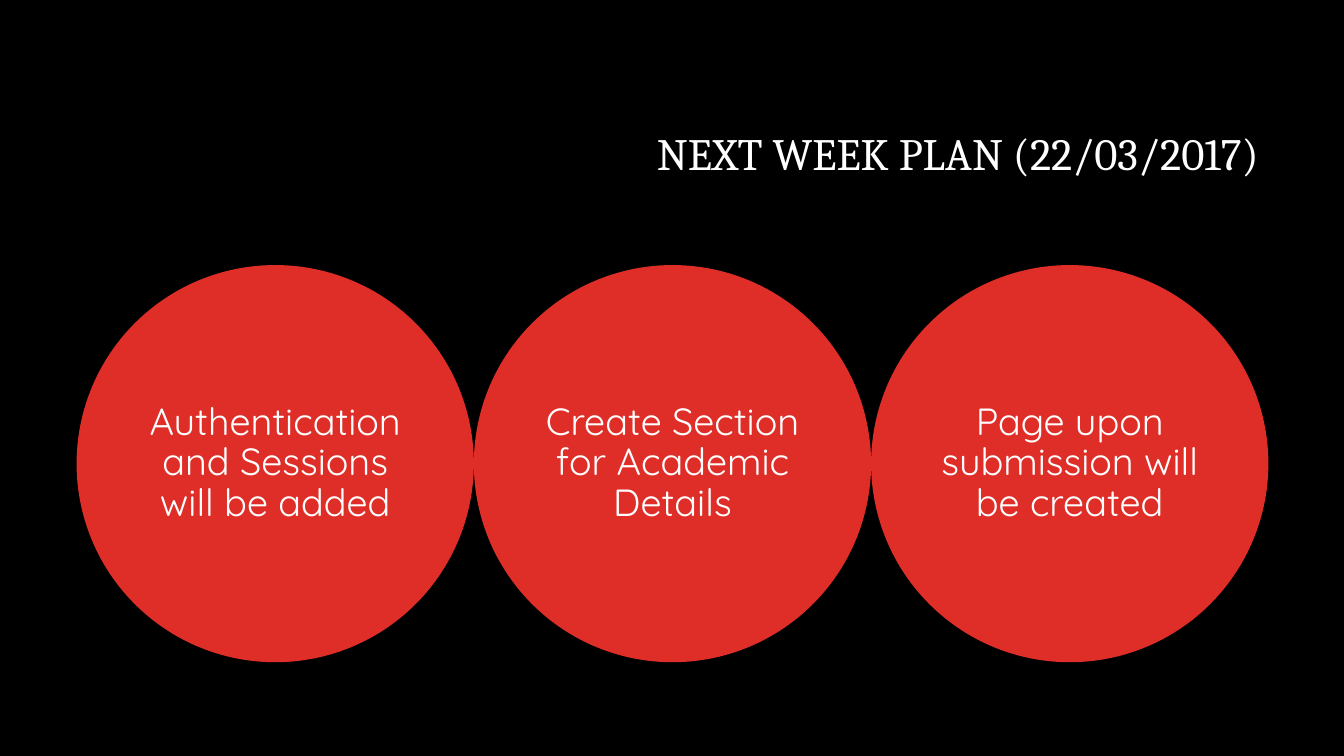
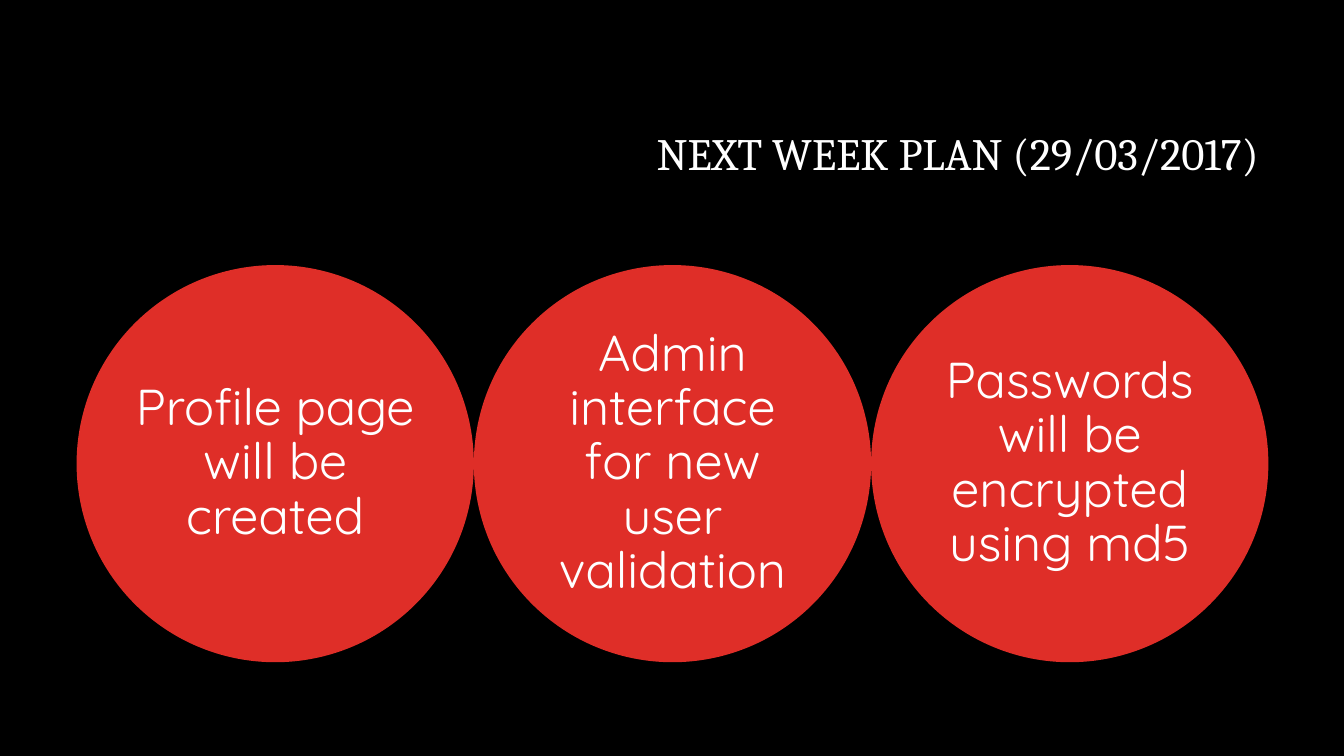
from pptx import Presentation
from pptx.dml.color import RGBColor
from pptx.enum.shapes import MSO_SHAPE
from pptx.enum.text import MSO_ANCHOR, PP_ALIGN
from pptx.util import Inches, Pt

OVAL = MSO_SHAPE.OVAL
MIDDLE = MSO_ANCHOR.MIDDLE
CENTER, RIGHT = PP_ALIGN.CENTER, PP_ALIGN.RIGHT

BLACK = RGBColor(0x00, 0x00, 0x00)
WHITE = RGBColor(0xFF, 0xFF, 0xFF)
RED = RGBColor(0xDF, 0x2E, 0x28)

TITLE_FONT = {"name": "Cambria", "size": Pt(32)}
BODY_FONT = "Quicksand"

# Row of touching circles
ROW_LEFT, ROW_TOP, DIAMETER = 0.76, 2.63, 3.94

# Title, text size in the circles, circle texts
PLANS = [
    ("NEXT WEEK PLAN (22/03/2017)", 27,
     ["Authentication and Sessions will be added",
      "Create Section for Academic Details",
      "Page upon submission will be created"]),
    ("NEXT WEEK PLAN (29/03/2017)", 36,
     ["Profile page will be created",
      "Admin interface for new user validation",
      "Passwords will be encrypted using md5"]),
]


class Deck:
    """Holds the shared style and the current slide."""

    def __init__(self):
        self.prs = Presentation()
        self.prs.slide_width = Inches(13.33)
        self.prs.slide_height = Inches(7.5)
        self.s = None

    def slide(self):
        self.s = self.prs.slides.add_slide(self.prs.slide_layouts[6])
        fill = self.s.background.fill
        fill.solid()
        fill.fore_color.rgb = BLACK

    def text(self, sp, text, align, font):
        tf = sp.text_frame
        tf.word_wrap = True
        tf.vertical_anchor = MIDDLE
        p = tf.paragraphs[0]
        p.alignment = align
        p.line_spacing = 0.9
        r = p.add_run()
        r.text = text
        r.font.color.rgb = WHITE
        for key, value in font.items():
            setattr(r.font, key, value)

    def title(self, text):
        sp = self.s.shapes.add_textbox(
            Inches(3.17), Inches(0.84), Inches(9.42), Inches(1.41))
        self.text(sp, text, RIGHT, TITLE_FONT)

    def circle(self, left, top, diameter, text, size):
        sp = self.s.shapes.add_shape(
            OVAL, Inches(left), Inches(top), Inches(diameter), Inches(diameter))
        sp.shadow.inherit = False
        sp.fill.solid()
        sp.fill.fore_color.rgb = RED
        sp.line.fill.background()
        for side in ("left", "top", "right", "bottom"):
            setattr(sp.text_frame, f"margin_{side}", 0)
        self.text(sp, text, CENTER, {"name": BODY_FONT, "size": Pt(size)})


def main():
    deck = Deck()
    for title, size, tasks in PLANS:
        deck.slide()
        deck.title(title)
        for i, task in enumerate(tasks):
            deck.circle(ROW_LEFT + i * DIAMETER, ROW_TOP, DIAMETER, task, size)
    deck.prs.save("out.pptx")


if __name__ == "__main__":
    main()
